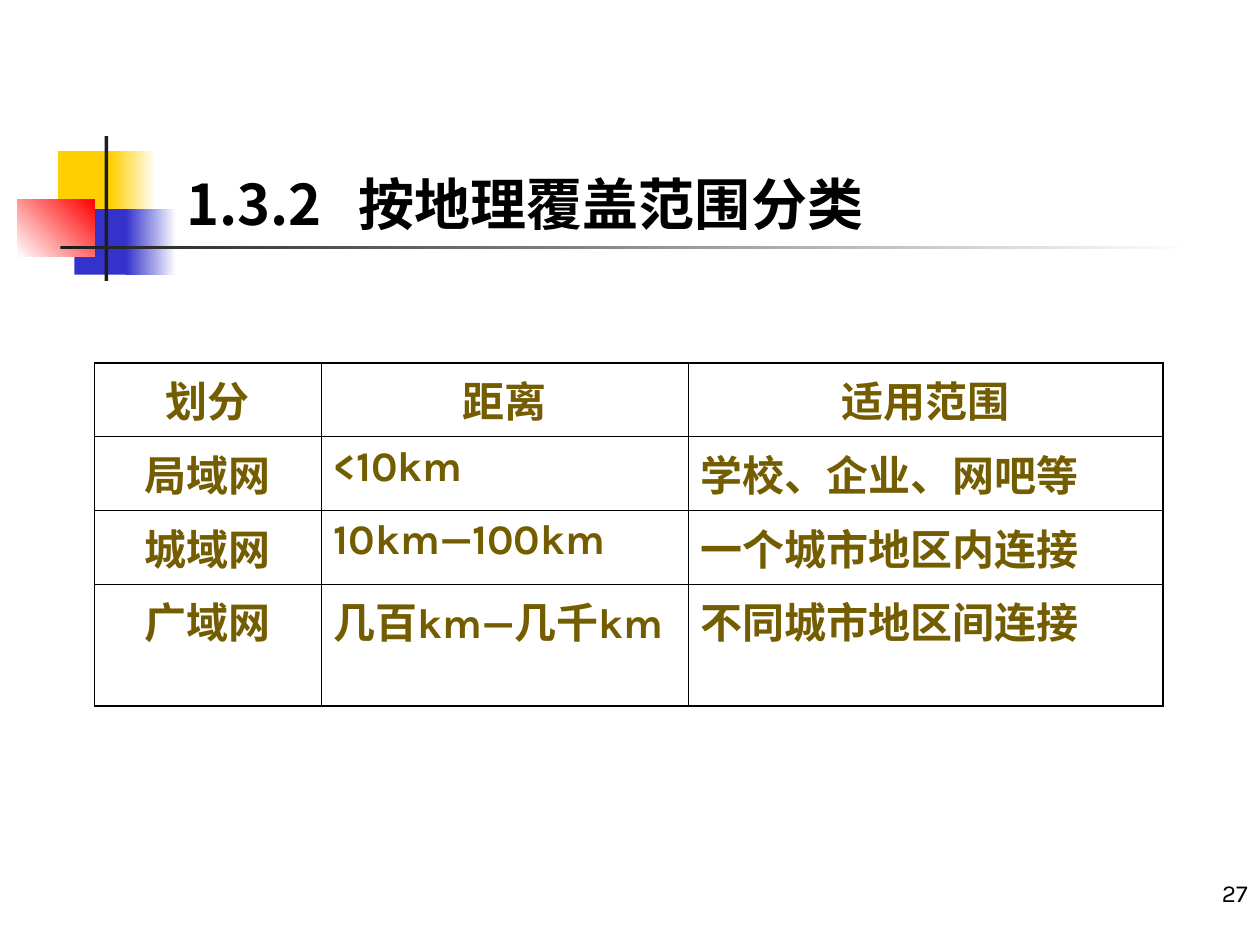
from pptx import Presentation
from pptx.dml.color import RGBColor
from pptx.enum.shapes import MSO_SHAPE
from pptx.enum.text import MSO_ANCHOR, PP_ALIGN
from pptx.oxml import parse_xml
from pptx.oxml.ns import nsdecls
from pptx.util import Inches, Pt

CJK, LATIN = "Noto Sans CJK SC", "Karla"
BLACK, OLIVE, DARK = "000000", "745D00", "1C1C1C"
THICK, THIN = 1.08, 0.45
COLUMNS, ROWS = 1000, 750
ROW_HEIGHTS = (58.5, 58.5, 58.5, 97)
COLUMN_WIDTHS = (180, 291, 377)
NETWORKS = [
    ("划分", "距离", "适用范围"),
    ("局域网", "<10km", "学校、企业、网吧等"),
    ("城域网", "10km—100km", "一个城市地区内连接"),
    ("广域网", "几百km—几千km", "不同城市地区间连接"),
]
ORNAMENT = [
    (32, 12, 48, 52, ("FFCF01",), 0),
    (74, 12, 36, 52, ("FFCF01", "FFFFFF"), 0),
    (45, 58, 46, 52, ("3333CC",), 0),
    (86, 58, 40, 52, ("3333CC", "FFFFFF"), 0),
    (0, 50, 61, 46, ("FFFFFF", "FF0000"), 45),
    (69, 0, 3, 115, (DARK,), 0),
    (34, 87, 900, 3, (DARK, "FFFFFF"), 0),
]


def rgb(value):
    """Return the colour for a hex string."""
    return RGBColor.from_string(value)


def units(*values):
    """Convert grid columns or rows to lengths."""
    return [Inches(v / 100) for v in values]


def add_text(p, text, size, font, color, bold=False):
    """Append one styled run to a paragraph."""
    r = p.add_run()
    r.text = text
    r.font.size, r.font.bold, r.font.name = Pt(size), bold, font
    r.font.color.rgb = rgb(color)
    ea = parse_xml(f'<a:ea {nsdecls("a")} typeface="{CJK}"/>')
    r.font._element.find(ea.tag.replace("}ea", "}latin")).addnext(ea)


def add_ornament(s, left, top):
    """Draw the coloured blocks and crossing bars from a corner."""
    for x, y, w, h, colors, angle in ORNAMENT:
        sp = s.shapes.add_shape(MSO_SHAPE.RECTANGLE, *units(left + x, top + y, w, h))
        sp.shadow.inherit = False
        sp.line.fill.background()
        if len(colors) == 1:
            sp.fill.solid()
            sp.fill.fore_color.rgb = rgb(colors[0])
            continue
        sp.fill.gradient()
        sp.fill.gradient_angle = angle
        for stop, color, position in zip(sp.fill.gradient_stops, colors, (0, 1)):
            stop.color.rgb = rgb(color)
            stop.position = position


def add_box(s, box):
    """Place a bottom-anchored text box and return its paragraph."""
    tf = s.shapes.add_textbox(*units(*box)).text_frame
    tf.word_wrap = True
    tf.vertical_anchor = MSO_ANCHOR.BOTTOM
    return tf.paragraphs[0]


def add_title(s, box):
    """Place the section number and heading, parted by a tab stop."""
    p = add_box(s, box)
    p._p.get_or_add_pPr().append(parse_xml(
        f'<a:tabLst {nsdecls("a")}><a:tab pos="{Inches(1.37)}" algn="l"/></a:tabLst>'))
    add_text(p, "1.3.2\t按地理覆盖范围分类", 32, CJK, BLACK, True)


def add_page_number(s, box):
    """Place the page number at the right."""
    p = add_box(s, box)
    p.alignment = PP_ALIGN.RIGHT
    add_text(p, "27", 14, LATIN, BLACK)


def set_borders(cell, widths):
    """Draw the left, right, top and bottom borders of a cell."""
    for side, width in zip("LRTB", widths):
        cell._tc.get_or_add_tcPr().append(parse_xml(
            f'<a:ln{side} {nsdecls("a")} w="{Pt(width)}"><a:solidFill>'
            f'<a:srgbClr val="{BLACK}"/></a:solidFill></a:ln{side}>'))


def add_network_table(s, left, top):
    """Build the table of network types with a thicker outer frame."""
    last_row, last_col = len(ROW_HEIGHTS) - 1, len(COLUMN_WIDTHS) - 1
    box = units(left, top, sum(COLUMN_WIDTHS), sum(ROW_HEIGHTS))
    table = s.shapes.add_table(last_row + 1, last_col + 1, *box).table
    table.first_row = table.horz_banding = False
    for column, width in zip(table.columns, units(*COLUMN_WIDTHS)):
        column.width = width
    for row, height in zip(table.rows, units(*ROW_HEIGHTS)):
        row.height = height
    for i, texts in enumerate(NETWORKS):
        for j, text in enumerate(texts):
            cell = table.cell(i, j)
            outer = (j == 0, j == last_col, i == 0, i == last_row)
            set_borders(cell, [THICK if edge else THIN for edge in outer])
            cell.fill.background()
            p = cell.text_frame.paragraphs[0]
            p.alignment = PP_ALIGN.CENTER if i == 0 or j == 0 else PP_ALIGN.LEFT
            add_text(p, text, 24, LATIN, OLIVE, True)


def main():
    """Build and save the slide."""
    prs = Presentation()
    prs.slide_width, prs.slide_height = units(COLUMNS, ROWS)
    s = prs.slides.add_slide(prs.slide_layouts[6])
    add_ornament(s, 14, 108)
    add_title(s, (138, 68, 654, 125))
    add_page_number(s, (792, 675, 208, 50))
    add_network_table(s, 75, 288)
    prs.save("out.pptx")


if __name__ == "__main__":
    main()
